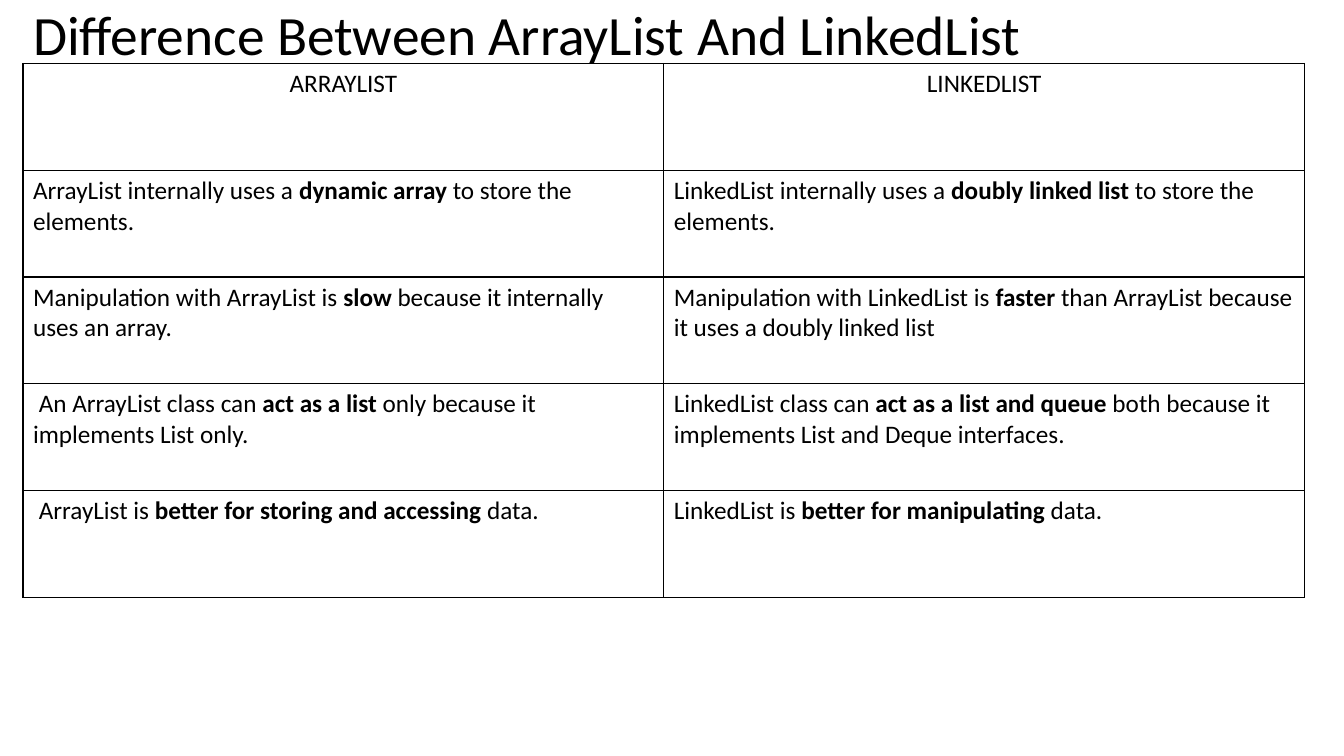
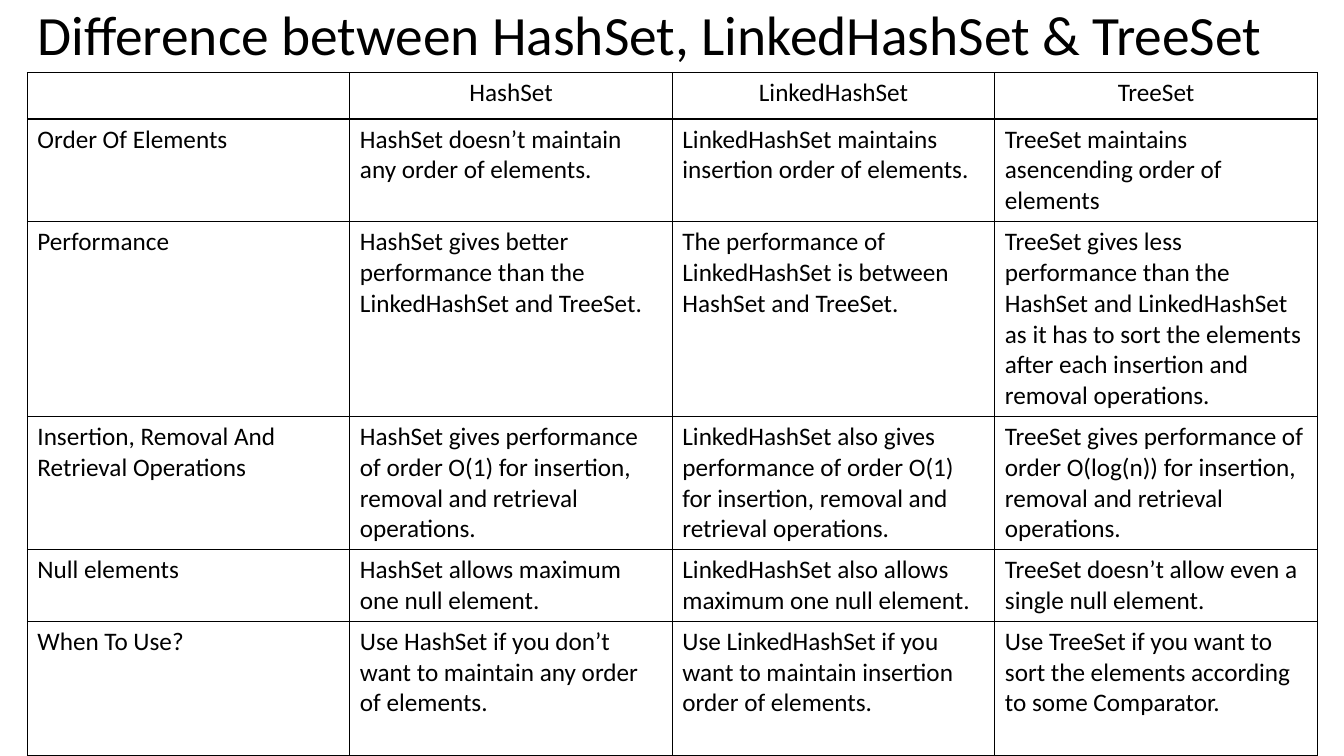
from lxml.etree import fromstring
from pptx import Presentation
from pptx.dml.color import RGBColor
from pptx.enum.text import MSO_ANCHOR as Anchor, MSO_AUTO_SIZE as AutoSize, PP_ALIGN as Align
from pptx.oxml.ns import nsdecls
from pptx.util import Cm, Pt


def rgb(value):
    return RGBColor.from_string(value)


class Deck:
    font = "Calibri"
    ink = "000000"
    paper = "FFFFFF"
    title_size = 39.6
    body_size = 18
    border = 1

    def __init__(self):
        self.prs = Presentation()
        self.prs.slide_width = Cm(33.87)
        self.prs.slide_height = Cm(19.05)
        self.slide = None

    def style(self, r, size, bold=False):
        r.font.name = self.font
        r.font.size = Pt(size)
        r.font.bold = bold
        r.font.color.rgb = rgb(self.ink)

    def add_slide(self, title, left, width):
        self.slide = self.prs.slides.add_slide(self.prs.slide_layouts[5])
        sp = self.slide.shapes.title
        sp.left, sp.top, sp.width, sp.height = Cm(left), Cm(0.28), Cm(width), Cm(1.31)
        tf = sp.text_frame
        tf.text = title
        tf.word_wrap = True
        tf.auto_size = AutoSize.NONE
        tf.vertical_anchor = Anchor.MIDDLE
        p = tf.paragraphs[0]
        p.alignment = Align.LEFT
        p.line_spacing = 0.9
        self.style(p.runs[0], self.title_size)

    def outline(self, cell):
        tc_pr = cell._tc.get_or_add_tcPr()
        for i, side in enumerate("LRTB"):
            tc_pr.insert(i, fromstring(
                f'<a:ln{side} {nsdecls("a")} w="{Pt(self.border)}"><a:solidFill>'
                f'<a:srgbClr val="{self.ink}"/></a:solidFill></a:ln{side}>'))

    def fill_cell(self, cell, text, align):
        cell.fill.solid()
        cell.fill.fore_color.rgb = rgb(self.paper)
        self.outline(cell)
        p = cell.text_frame.paragraphs[0]
        p.alignment = align
        for i, part in enumerate(text.split("*")):
            if part:
                r = p.add_run()
                r.text = part
                self.style(r, self.body_size, bold=i % 2 == 1)

    def add_table(self, rows, left, top, width, heights):
        columns = len(rows[0])
        frame = self.slide.shapes.add_table(
            len(rows), columns, Cm(left), Cm(top), Cm(width), Cm(sum(heights)))
        table = frame.table
        table.first_row = table.horz_banding = False
        for column in table.columns:
            column.width = Cm(width / columns)
        for i, (texts, height) in enumerate(zip(rows, heights)):
            table.rows[i].height = Cm(height)
            align = Align.LEFT if i else Align.CENTER
            for j, text in enumerate(texts):
                self.fill_cell(table.cell(i, j), text, align)


LISTS = [
    ("ARRAYLIST", "LINKEDLIST"),
    ("ArrayList internally uses a *dynamic array* to store the elements.",
     "LinkedList internally uses a *doubly linked list* to store the elements."),
    ("Manipulation with ArrayList is *slow* because it internally uses an array.",
     "Manipulation with LinkedList is *faster* than ArrayList because it uses a doubly linked list"),
    ("\u00a0An ArrayList class can *act as a list* only because it implements List only.",
     "LinkedList class can *act as a list and queue* both because it implements List and Deque interfaces."),
    ("\u00a0ArrayList is *better for storing and accessing* data.",
     "LinkedList is *better for manipulating* data."),
]

SETS = [
    ("", "HashSet", "LinkedHashSet", "TreeSet"),
    ("Order Of Elements",
     "HashSet doesn’t maintain any order of elements.",
     "LinkedHashSet maintains insertion order of elements.",
     "TreeSet maintains asencending order of elements"),
    ("Performance",
     "HashSet gives better performance than the LinkedHashSet and TreeSet.",
     "The performance of LinkedHashSet is between HashSet and TreeSet.",
     "TreeSet gives less performance than the HashSet and LinkedHashSet as it has to sort "
     "the elements after each insertion and removal operations."),
    ("Insertion, Removal And Retrieval Operations",
     "HashSet gives performance of order O(1) for insertion, removal and retrieval operations.",
     "LinkedHashSet also gives performance of order O(1) for insertion, removal and retrieval operations.",
     "TreeSet gives performance of order O(log(n)) for insertion, removal and retrieval operations."),
    ("Null elements",
     "HashSet allows maximum one null element.",
     "LinkedHashSet also allows maximum one null element.",
     "TreeSet doesn’t allow even a single null element."),
    ("When To Use?",
     "Use HashSet if you don’t want to maintain any order of elements.",
     "Use LinkedHashSet if you want to maintain insertion order of elements.",
     "Use TreeSet if you want to sort the elements according to some Comparator."),
]

deck = Deck()
deck.add_slide("Difference Between ArrayList And LinkedList", 0.58, 32.3)
deck.add_table(LISTS, 0.58, 1.6, 32.3, [2.69] * len(LISTS))

deck.add_slide("Difference between HashSet, LinkedHashSet & TreeSet", 0.69, 32.51)
deck.add_table(SETS, 0.69, 1.83, 32.51, [1.17, 2.59, 4.9, 3.35, 1.8, 3.38])

deck.prs.save("out.pptx")
